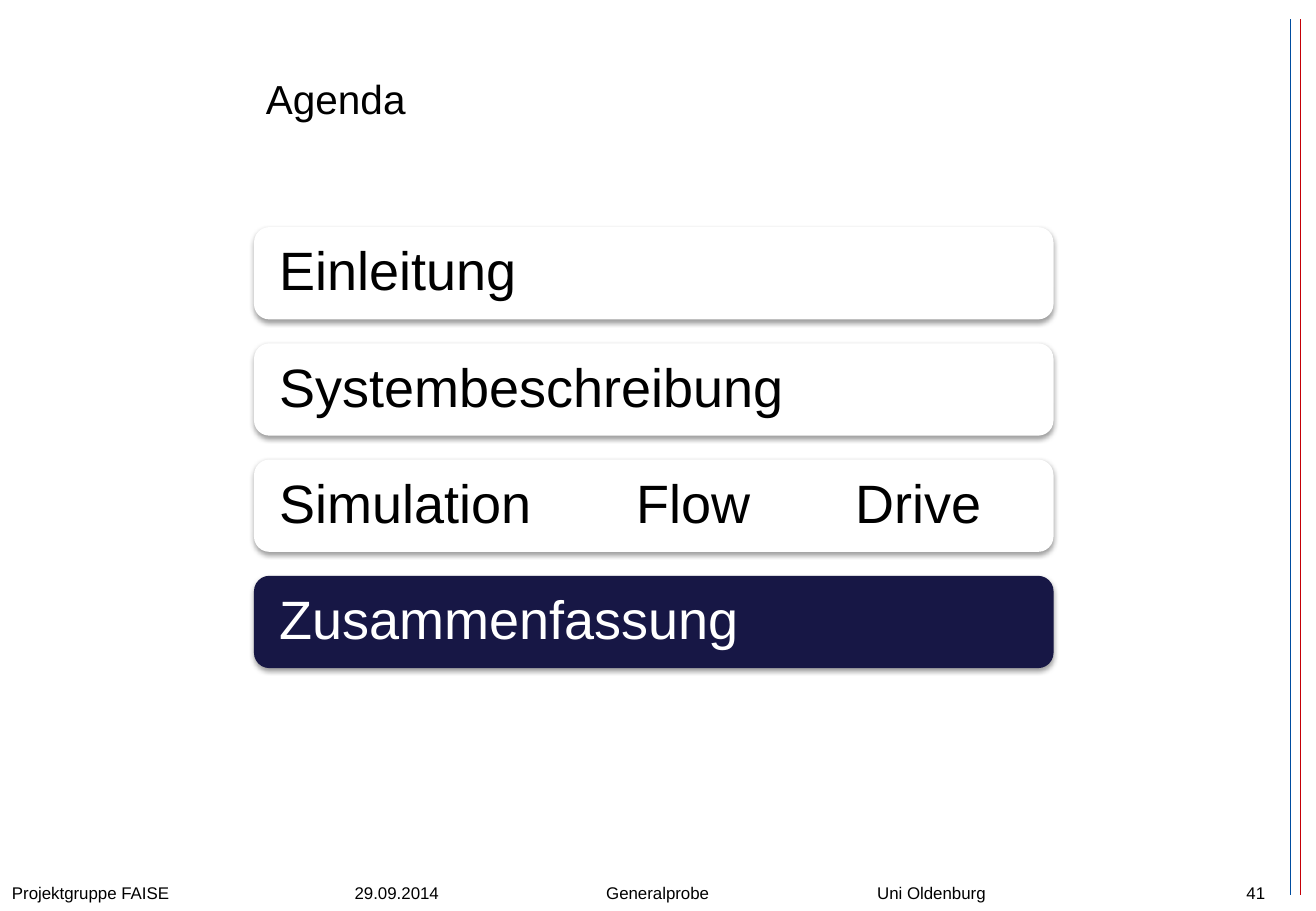
"""Build the agenda slide with its four topics and footer."""
from lxml import etree
from pptx import Presentation
from pptx.dml.color import RGBColor
from pptx.enum.shapes import MSO_CONNECTOR, MSO_SHAPE
from pptx.enum.text import MSO_ANCHOR, PP_ALIGN
from pptx.oxml import parse_xml
from pptx.oxml.ns import nsdecls, qn
from pptx.util import Inches, Pt

ROUNDED = MSO_SHAPE.ROUNDED_RECTANGLE
STRAIGHT = MSO_CONNECTOR.STRAIGHT
TOP, MIDDLE = MSO_ANCHOR.TOP, MSO_ANCHOR.MIDDLE
LEFT, RIGHT = PP_ALIGN.LEFT, PP_ALIGN.RIGHT

BLACK = RGBColor(0x00, 0x00, 0x00)
WHITE = RGBColor(0xFF, 0xFF, 0xFF)
NAVY = RGBColor(0x17, 0x17, 0x45)
RED = RGBColor(0xC5, 0x00, 0x07)
BLUE = RGBColor(0x00, 0x4C, 0xA0)

FONT = "Arial"
TOPICS = ["Einleitung", "Systembeschreibung", "Simulation\tFlow\tDrive", "Zusammenfassung"]
CURRENT_TOPIC = "Zusammenfassung"
TOPIC_TABS = [2.94, 4.74]
TOPIC_TOP, TOPIC_PITCH = 1.87, 0.957
FOOTER = "Projektgruppe FAISE\t29.09.2014\tGeneralprobe\tUni Oldenburg"
FOOTER_TABS = [2.82, 4.89, 7.12]
SHADOW = (
    f'<a:effectLst {nsdecls("a")}><a:outerShdw blurRad="39370" dist="20320" dir="5400000" '
    'rotWithShape="0"><a:srgbClr val="000000"><a:alpha val="38000"/></a:srgbClr>'
    "</a:outerShdw></a:effectLst>"
)


def write(shape, text, size, color=BLACK, align=LEFT, anchor=TOP, tabs=()):
    """Set one formatted paragraph, with tab stops in inches."""
    frame = shape.text_frame
    frame.word_wrap = True
    frame.vertical_anchor = anchor
    frame.text = text
    paragraph = frame.paragraphs[0]
    paragraph.alignment = align
    if tabs:
        stops = etree.SubElement(paragraph._p.get_or_add_pPr(), qn("a:tabLst"))
        for position in tabs:
            etree.SubElement(stops, qn("a:tab"), pos=str(Inches(position)), algn="l")
    for run in paragraph.runs:
        run.font.name = FONT
        run.font.size = Pt(size)
        run.font.color.rgb = color
    return paragraph


def add_label(slide, left, top, width, height, text, size, **style):
    """Add a text box holding one line."""
    label = slide.shapes.add_textbox(Inches(left), Inches(top), Inches(width), Inches(height))
    write(label, text, size, **style)


def add_topic(slide, top, text):
    """Add a rounded agenda bar, dark for the current topic."""
    is_current = text == CURRENT_TOPIC
    bar = slide.shapes.add_shape(ROUNDED, Inches(2.09), Inches(top), Inches(6.58), Inches(0.76))
    bar.fill.solid()
    bar.fill.fore_color.rgb = NAVY if is_current else WHITE
    bar.line.fill.background()
    bar._element.spPr.append(parse_xml(SHADOW))
    bar.text_frame.margin_left = bar.text_frame.margin_right = Inches(0.17)
    paragraph = write(bar, text, 32, color=WHITE if is_current else BLACK,
                      anchor=MIDDLE, tabs=TOPIC_TABS if "\t" in text else ())
    paragraph.line_spacing = 0.9


def add_edge_line(slide, x, color):
    """Add a thin vertical line at the right edge."""
    edge = slide.shapes.add_connector(STRAIGHT, Inches(x), Inches(0.16), Inches(x), Inches(7.37))
    edge.line.color.rgb = color
    edge.line.width = Pt(0.25)
    etree.SubElement(edge._element.spPr, qn("a:effectLst"))


def main():
    """Build and save the slide."""
    deck = Presentation()
    deck.slide_width, deck.slide_height = Inches(10.83), Inches(7.5)
    slide = deck.slides.add_slide(deck.slide_layouts[6])
    add_edge_line(slide, 10.7, RED)
    add_edge_line(slide, 10.62, BLUE)
    add_label(slide, 2.09, 0.3, 8.2, 1.01, "Agenda", 24, anchor=MIDDLE)
    add_label(slide, 7.98, 7.22, 2.53, 0.24, "41", 10, align=RIGHT)
    add_label(slide, 0, 7.22, 10.19, 0.28, FOOTER, 10, tabs=FOOTER_TABS)
    for index, topic in enumerate(TOPICS):
        add_topic(slide, TOPIC_TOP + index * TOPIC_PITCH, topic)
    deck.save("out.pptx")


if __name__ == "__main__":
    main()
